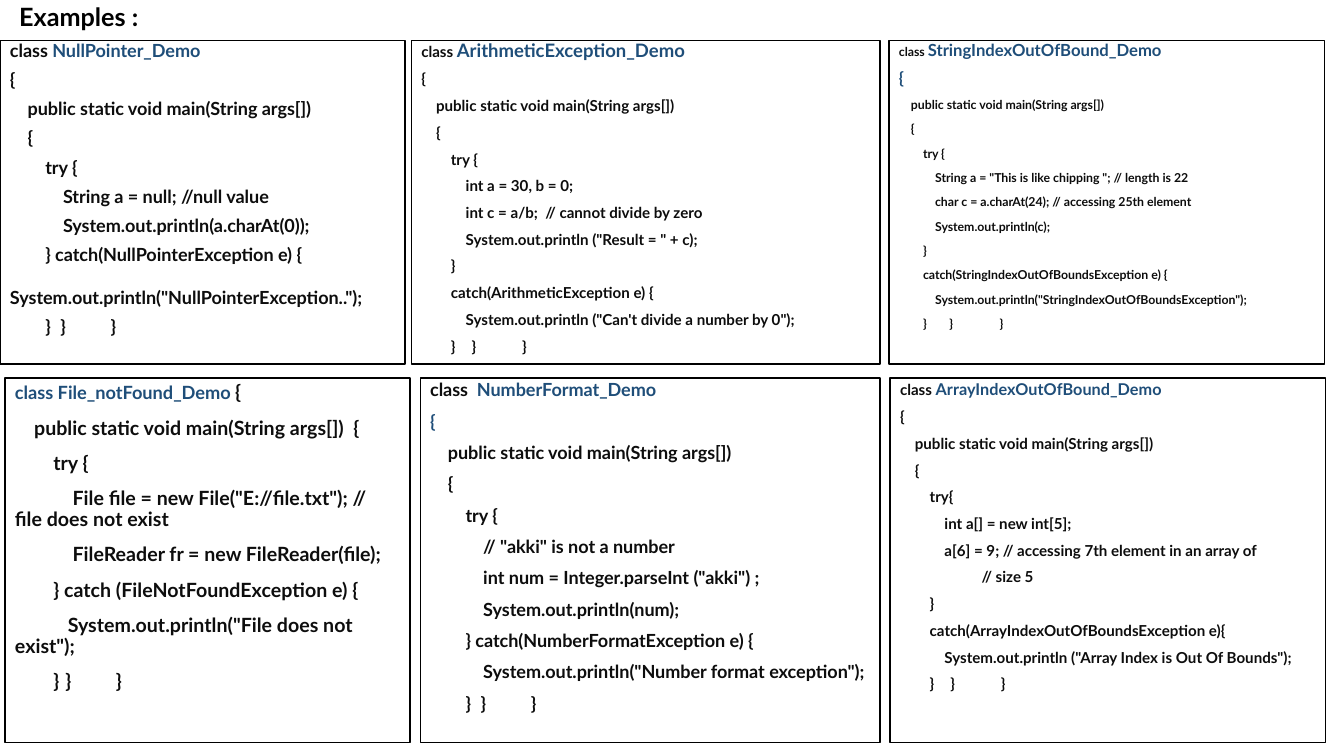
from dataclasses import dataclass

from lxml import etree
from pptx import Presentation, util as u
from pptx.dml.color import RGBColor
from pptx.enum import shapes, text
from pptx.oxml.ns import qn


@dataclass(frozen=True)
class Theme:
    font: str = "Lato"
    black: str = "000000"
    white: str = "FFFFFF"
    code: str = "0D0D0D"
    name: str = "1F4E79"
    title_size: float = 18
    gap: float = 10
    indent_em: float = 0.98
    tab_ems: tuple = (3.5, 4.25)


@dataclass
class Listing:
    left: float
    width: float
    size: float
    name_size: float
    spacing: float
    head: tuple
    body: str
    head_spacing: float = 0
    blue_brace: bool = False
    flush: str = ""


ROWS = [
    (28.8, 231.1, [
        Listing(0, 289.4, 12.9, 12.9, 0.7, ("class ", "NullPointer_Demo", ""), """{
    public static void main(String args[])
    {
        try {
            String a = null; //null value
            System.out.println(a.charAt(0));
        } catch(NullPointerException e) {
System.out.println("NullPointerException..");
        }\t}\t}""", flush="System"),
        Listing(293.8, 334.8, 10.8, 13.2, 0.7, ("class ", "ArithmeticException_Demo", ""), """{
    public static void main(String args[])
    {
        try {
            int a = 30, b = 0;
            int c = a/b;  // cannot divide by zero
            System.out.println ("Result = " + c);
        }
        catch(ArithmeticException e) {
            System.out.println ("Can't divide a number by 0");
        }\t}\t}"""),
        Listing(635, 311, 8.8, 11.9, 0.7, ("class ", "StringIndexOutOfBound_Demo", ""), """{
    public static void main(String args[])
    {
        try {
            String a = "This is like chipping "; // length is 22
            char c = a.charAt(24); // accessing 25th element
            System.out.println(c);
        }
        catch(StringIndexOutOfBoundsException e) {
            System.out.println("StringIndexOutOfBoundsException");
        }\t}\t}""", blue_brace=True),
    ]),
    (270, 260.6, [
        Listing(3.6, 289.4, 14, 13, 0.9, ("", "class File_notFound_Demo ", "{"),
                """    public static void main(String args[])  {
        try {
            File file = new File("E://file.txt"); //  file does not exist
            FileReader fr = new FileReader(file);
        } catch (FileNotFoundException e) {
           System.out.println("File does not exist");
        }\t}\t}"""),
        Listing(300.2, 328.3, 12.9, 12.9, 0.8, ("class  ", "NumberFormat_Demo", ""), """{
    public static void main(String args[])
    {
        try {
            // "akki" is not a number
            int num = Integer.parseInt ("akki") ;
            System.out.println(num);
        } catch(NumberFormatException e) {
            System.out.println("Number format exception");
        }\t}\t}""", blue_brace=True),
        Listing(635.8, 311, 10.8, 11.6, 0.7, ("class ", "ArrayIndexOutOfBound_Demo", ""), """{
    public static void main(String args[])
    {
        try{
            int a[] = new int[5];
            a[6] = 9; // accessing 7th element in an array of
                      // size 5
        }
        catch(ArrayIndexOutOfBoundsException e){
            System.out.println ("Array Index is Out Of Bounds");
        }\t}\t}""", head_spacing=0.8),
    ]),
]


class Deck:
    def __init__(self, theme):
        self.theme = theme
        self.prs = Presentation()
        self.prs.slide_width, self.prs.slide_height = u.Pt(960), u.Pt(540)
        self.s = self.prs.slides.add_slide(self.prs.slide_layouts[5])

    def style(self, font, size, color):
        font.name, font.size, font.bold = self.theme.font, u.Pt(size), True
        font.color.rgb = RGBColor.from_string(color)

    def frame(self, sp):
        tf = sp.text_frame
        tf.word_wrap = True
        tf.auto_size = text.MSO_AUTO_SIZE.NONE
        tf.vertical_anchor = text.MSO_ANCHOR.TOP
        return tf

    def paragraph(self, p, spacing, before=None):
        p.alignment = text.PP_ALIGN.LEFT
        p.line_spacing = spacing
        p.space_before = u.Pt(self.theme.gap if before is None else before)

    def title(self, words, left, top, width, height):
        sp = self.s.shapes.title
        sp.left, sp.top, sp.width, sp.height = map(u.Pt, (left, top, width, height))
        p = self.frame(sp).paragraphs[0]
        p.text = words
        self.paragraph(p, 0.9)
        self.style(p.font, self.theme.title_size, self.theme.black)

    def indent(self, p, size, spaces, tabbed):
        pPr = p._p.get_or_add_pPr()
        pPr.set("marL", "0")
        pPr.set("indent", str(u.Pt(spaces / 4 * self.theme.indent_em * size)))
        if tabbed:
            tabs = etree.Element(qn("a:tabLst"))
            for em in self.theme.tab_ems:
                etree.SubElement(tabs, qn("a:tab"), pos=str(u.Pt(em * size)), algn="l")
            pPr.find(qn("a:defRPr")).addprevious(tabs)

    def code_line(self, p, item, line):
        code = line.lstrip(" ")
        flush = bool(item.flush) and line.startswith(item.flush)
        blue = item.blue_brace and line == "{"
        size = item.name_size if blue else item.size
        p.text = code
        self.paragraph(p, item.spacing, 2 * self.theme.gap if flush else None)
        self.style(p.font, size, self.theme.name if blue else self.theme.code)
        self.indent(p, size, len(line) - len(code), "\t" in code)

    def listing(self, item, top, height):
        sp = self.s.shapes.add_shape(
            shapes.MSO_SHAPE.RECTANGLE, *map(u.Pt, (item.left, top, item.width, height)))
        sp.shadow.inherit = False
        sp.fill.solid()
        sp.fill.fore_color.rgb = RGBColor.from_string(self.theme.white)
        sp.line.color.rgb = RGBColor.from_string(self.theme.black)
        sp.line.width = u.Pt(1)
        tf = self.frame(sp)
        p = tf.paragraphs[0]
        self.paragraph(p, item.head_spacing or item.spacing)
        plain = (item.size, self.theme.code)
        for words, look in zip(item.head, (plain, (item.name_size, self.theme.name), plain)):
            if words:
                r = p.add_run()
                r.text = words
                self.style(r.font, *look)
        for line in item.body.split("\n"):
            self.code_line(tf.add_paragraph(), item, line)


def main():
    deck = Deck(Theme())
    deck.title("Examples :", 6.5, 0, 945, 28)
    for top, height, listings in ROWS:
        for item in listings:
            deck.listing(item, top, height)
    deck.prs.save("out.pptx")


if __name__ == "__main__":
    main()
